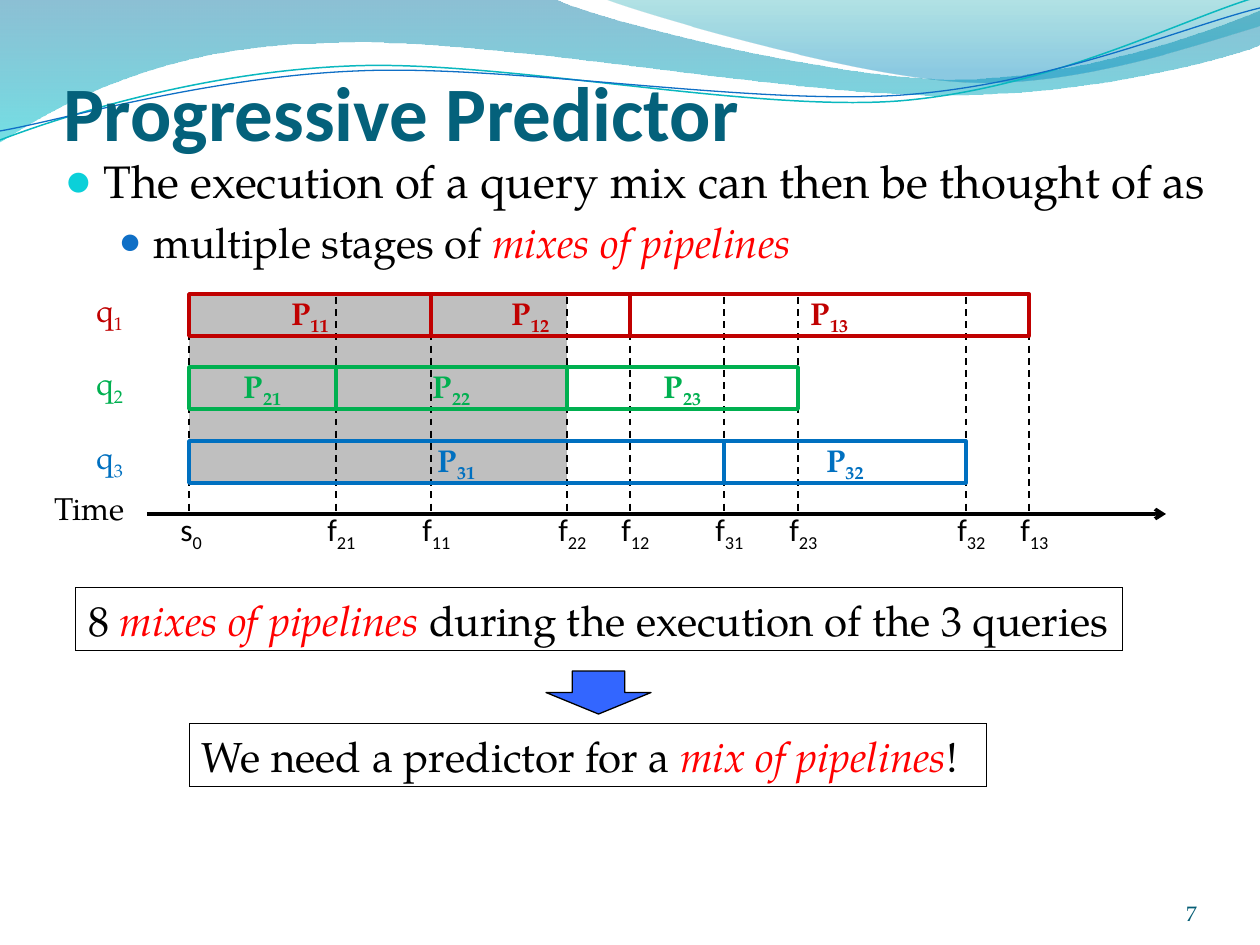
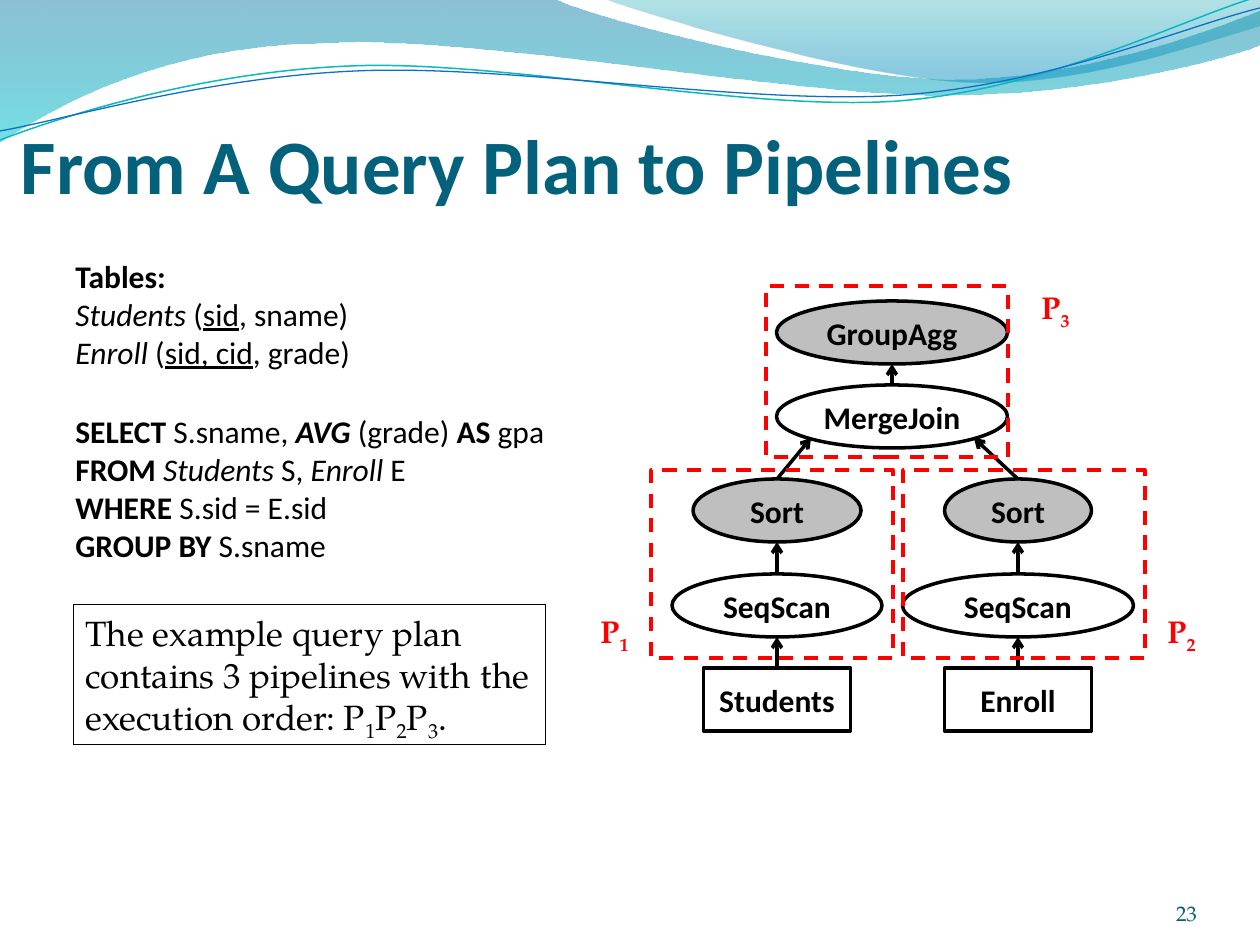
from lxml.etree import SubElement
from pptx import Presentation
from pptx.dml.color import RGBColor
from pptx.enum.dml import MSO_LINE
from pptx.enum.shapes import MSO_CONNECTOR, MSO_SHAPE
from pptx.enum.text import MSO_ANCHOR, MSO_AUTO_SIZE, PP_ALIGN
from pptx.oxml.ns import qn
from pptx.util import Pt

SCALE = 914400 / 126
SANS, SERIF = "Calibri", "TeX Gyre Pagella"
COLORS = {
    "black": "000000", "red": "FF0000", "gray": "BFBFBF", "title": "04617B",
    "number": "045D75", "arrow": "3366FF", "q1": "C00000", "q2": "00B050",
    "q3": "0070C0", "dot": "0BD0D9", "subdot": "0F6FC6", "teal": "0AB8BF",
    "deep": "0074A1", "cyan": "00C6CF", "sea": "00A1A9", "sky": "008BBF",
}
ALIGN = {"l": PP_ALIGN.LEFT, "c": PP_ALIGN.CENTER, "r": PP_ALIGN.RIGHT}
ANCHOR = {"t": MSO_ANCHOR.TOP, "m": MSO_ANCHOR.MIDDLE, "b": MSO_ANCHOR.BOTTOM}

# Each wave: start point, then line points (2 numbers) and curves (6 numbers)
BAND = [(0, 0), (554, -1), (600, 21, 837, 79, 955, 79),
        (1074, 79, 1207, 33, 1260, 11), (1261, 45),
        (1238, 55, 1096, 96, 940, 95), (781, 95, 481, 35, 324, 43),
        (163, 45, 58, 105, -1, 142)]
CREST = [(604, -1), (641, 14, 859, 78, 969, 82),
         (1079, 87, 1211, 40, 1260, 26), (1260, 0)]
UPPER = [(0, 140), (60, 117, 199, 72, 349, 66),
         (498, 59, 747, 112, 898, 101), (1049, 89, 1182, 19, 1257, -3)]
LOWER = [(0, 131), (59, 121, 207, 77, 357, 71),
         (508, 64, 751, 106, 903, 95), (1053, 84, 1186, 26, 1260, 8)]

TIMES = {"s0": 189, "f21": 336, "f11": 431, "f22": 567, "f12": 630,
         "f31": 724, "f23": 798, "f32": 966, "f13": 1029}


def px(value):
    return round(value * SCALE)


def rgb(name):
    return RGBColor.from_string(COLORS[name])


def text(frame, paras, size=18, font=SERIF, color="black", bold=False,
         align="l", anchor="t", inset=None):
    """Fill a frame; a run is a string or (string, flags).

    Flags: b bold, i italic, u underlined, r red, - subscript.
    """
    frame.word_wrap = True
    frame.auto_size = MSO_AUTO_SIZE.NONE
    frame.vertical_anchor = ANCHOR[anchor]
    if inset is not None:
        (frame.margin_left, frame.margin_top,
         frame.margin_right, frame.margin_bottom) = map(px, inset)
    for index, runs in enumerate(paras):
        para = frame.add_paragraph() if index else frame.paragraphs[0]
        para.alignment = ALIGN[align]
        for item in runs:
            words, flags = (item, "") if isinstance(item, str) else item
            run = para.add_run()
            run.text = words
            face = run.font
            face.name, face.size = font, Pt(size)
            face.bold = bold or "b" in flags
            face.italic = "i" in flags
            face.underline = "u" in flags
            face.color.rgb = rgb("red" if "r" in flags else color)
            if "-" in flags:
                run._r.get_or_add_rPr().set("baseline", "-25000")


def label(slide, box, paras, **form):
    shape = slide.shapes.add_textbox(*map(px, box))
    text(shape.text_frame, paras, **form)
    return shape


def note(slide, box, runs, size=24):
    """Add a text box with a hairline border."""
    label(slide, box, [runs], size=size).line.color.rgb = rgb("black")


def paint(shape, fill=None, line=None, width=2, dash=False):
    shape.shadow.inherit = False
    if fill:
        shape.fill.solid()
        shape.fill.fore_color.rgb = rgb(fill)
    else:
        shape.fill.background()
    if line:
        shape.line.color.rgb = rgb(line)
        shape.line.width = Pt(width)
        if dash:
            shape.line.dash_style = MSO_LINE.DASH
    else:
        shape.line.fill.background()


def block(slide, box, kind=MSO_SHAPE.RECTANGLE, **look):
    shape = slide.shapes.add_shape(kind, *map(px, box))
    paint(shape, **look)
    return shape


def center(shape, runs, **form):
    text(shape.text_frame, [runs], bold=True, align="c", anchor="m",
         inset=(0, 0, 0, 0), **form)


def link(slide, start, end, width=2, dash=False, head=True):
    line = slide.shapes.add_connector(
        MSO_CONNECTOR.STRAIGHT, *map(px, (*start, *end)))
    line.line.color.rgb = rgb("black")
    line.line.width = Pt(width)
    if dash:
        line.line.dash_style = MSO_LINE.DASH
    if head:
        SubElement(line.line._get_or_add_ln(), qn("a:tailEnd"), type="arrow")
    SubElement(line.element.spPr, qn("a:effectLst"))
    return line


def wave(slide, steps, close=False, **look):
    """Build an outline, turning each six-number step into a cubic curve."""
    first, *rest = [[(px(x), px(y)) for x, y in zip(step[::2], step[1::2])]
                    for step in steps]
    maker = slide.shapes.build_freeform(*first[0])
    maker.add_line_segments(sum(rest, []), close=close)
    shape = maker.convert_to_shape()
    route = next(shape.element.iter(qn("a:path")))
    lines = iter(route.findall(qn("a:lnTo")))
    for step in rest:
        lead, *others = [next(lines) for _ in step]
        if others:
            curve = route.makeelement(qn("a:cubicBezTo"))
            lead.addprevious(curve)
            for piece in (lead, *others):
                curve.append(piece[0])
                route.remove(piece)
    paint(shape, **look)
    return shape


def fade(shape, stops):
    """Fill from top to bottom with (position, colour, opacity) stops."""
    shape.fill.gradient()
    shape.fill.gradient_angle = 270
    for stop, (place, color, _) in zip(shape.fill.gradient_stops, stops):
        stop.position = place
        stop.color.rgb = rgb(color)
    tones = shape.element.spPr.iter(qn("a:srgbClr"))
    for tone, (_, _, alpha) in zip(list(tones), stops):
        SubElement(tone, qn("a:alpha"), val=str(alpha * 1000))


def backdrop(slide):
    """Draw the waves and move them to the layout that all slides share."""
    band, crest = wave(slide, BAND, True), wave(slide, CREST, True)
    fade(band, [(0, "deep", 45), (1, "cyan", 55)])
    fade(crest, [(0, "sea", 30), (0.8, "sky", 45)])
    waves = [band, crest, wave(slide, UPPER, line="teal", width=0.85),
             wave(slide, LOWER, line="subdot", width=0.75)]
    front = slide.slide_layout.shapes[0].element
    for index, shape in enumerate(waves):
        shape.element.nvSpPr.cNvPr.set("id", str(100 + index))
        front.addprevious(shape.element)


def page(deck, title, box, number):
    """Add a slide with its title and number."""
    slide = deck.slides.add_slide(deck.slide_layouts[5])
    head = slide.shapes.title
    head.left, head.top, head.width, head.height = map(px, box)
    text(head.text_frame, [[title]], size=44, font=SANS, color="title",
         bold=True, anchor="b", inset=(0, 6, 0, 0))
    label(slide, (1092, 876, 105, 50), [[number]], size=12, color="number",
          align="r", anchor="b", inset=(0, 0, 0, 0))
    return slide


def bullet(para, left, hang, color, size):
    para.space_before = Pt(5)
    props = para._p.get_or_add_pPr()
    props.set("marL", str(px(left)))
    props.set("indent", str(-px(hang)))
    tone = SubElement(props, qn("a:buClr"))
    SubElement(tone, qn("a:srgbClr"), val=COLORS[color])
    SubElement(props, qn("a:buSzPct"), val=str(size * 1000))
    SubElement(props, qn("a:buFont"), typeface=SANS)
    SubElement(props, qn("a:buChar"), char="●")


def chart(slide):
    """Draw the query bars over the time axis."""
    for x in TIMES.values():
        link(slide, (x, 297), (x, 514), width=1, dash=True, head=False)
    link(slide, (147, 514), (1166, 514))
    label(slide, (42, 483, 105, 50), [["Time"]])
    for query, stages in ((1, 3), (2, 3), (3, 2)):
        color = f"q{query}"
        top = 294 + 147 * (query - 1) // 2
        left = TIMES["s0"]
        for stage in range(1, stages + 1):
            right = TIMES[f"f{query}{stage}"]
            bar = block(slide, (left, top, right - left, 42), line=color)
            center(bar, ["P", (f"{query}{stage}", "-")], color=color)
            left = right
        label(slide, (84, top - 9, 60, 50), [["q", (str(query), "-")]],
              color=color)
    for name, x in TIMES.items():
        label(slide, (x - 21, 504, 63, 50), [[name[0], (name[1:], "-")]],
              font=SANS)


def predictor(deck):
    slide = page(deck, "Progressive Predictor", (63, 0, 1134, 157), "7")
    backdrop(slide)
    marks = list(TIMES.values())[:4]
    for left, right in zip(marks, marks[1:]):
        block(slide, (left, 294, right - left, 189), fill="gray")
    note(slide, (189, 724, 798, 63),
         ["We need a predictor for a ", ("mix of pipelines", "ir"), "!"])
    note(slide, (76, 588, 1047, 63),
         ["8 ", ("mixes of pipelines ", "ir"),
          "during the execution of the 3 queries"])
    block(slide, (546, 671, 105, 43), MSO_SHAPE.DOWN_ARROW,
          fill="arrow", line="black", width=0.75)
    body = label(slide, (53, 147, 1187, 195), [
        ["The execution of a query mix can then be thought of as"],
        ["multiple stages of ", ("mixes of pipelines", "ir")]], size=24)
    lead, sub = body.text_frame.paragraphs
    lead.runs[0].font.size = Pt(26)
    bullet(lead, 38, 38, "dot", 95)
    bullet(sub, 88, 34, "subdot", 85)
    chart(slide)


def node(slide, name, mid, top, wide, fill=None, kind=MSO_SHAPE.OVAL):
    shape = block(slide, (mid - wide / 2, top, wide, 63), kind,
                  fill=fill, line="black")
    center(shape, [name], font=SANS)
    return shape


def plan(slide):
    """Draw the operator tree and its three pipelines."""
    root = 892
    node(slide, "GroupAgg", root, 301, 231, "gray")
    merge = node(slide, "MergeJoin", root, 385, 231)
    links = [(merge, (root, 364))]
    for name, mid, sort, scan, joint in (
            ("Students", 777, 168, 210, 811), ("Enroll", 1018, 147, 231, 974)):
        links += [
            (node(slide, "Sort", mid, 479, sort, "gray"), (joint, 438)),
            (node(slide, "SeqScan", mid, 574, scan), (mid, 542)),
            (node(slide, name, mid, 668, 147, kind=MSO_SHAPE.RECTANGLE),
             (mid, 637))]
    for source, end in links:
        link(slide, end, end).begin_connect(source, 0)
    for number, box, spot in (
            ("1", (651, 470, 242, 188), (588, 606)),
            ("2", (903, 470, 242, 188), (1155, 606)),
            ("3", (766, 286, 242, 171), (1029, 282))):
        block(slide, box, line="red", dash=True)
        label(slide, (*spot, 63, 50), [["P", (number, "-")]],
              color="red", bold=True)


def pipelines(deck):
    slide = page(deck, "From A Query Plan to Pipelines",
                 (21, 53, 1239, 157), "23")
    note(slide, (73, 605, 473, 140),
         ["The example query plan contains 3 pipelines with the "
          "execution order: P", ("1", "-"), "P", ("2", "-"), "P",
          ("3", "-"), "."], size=20)
    label(slide, (63, 251, 336, 127), [
        [("Tables:", "b")],
        [("Students", "i"), " (", ("sid", "u"), ", sname)"],
        [("Enroll", "i"), " (", ("sid, cid", "u"), ", grade)"]], font=SANS)
    label(slide, (63, 406, 504, 165), [
        [("SELECT ", "b"), "S.sname, ", ("AVG ", "bi"), "(grade) ",
         ("AS ", "b"), "gpa"],
        [("FROM ", "b"), ("Students", "i"), " S, ", ("Enroll", "i"), " E"],
        [("WHERE ", "b"), "S.sid = E.sid"],
        [("GROUP BY ", "b"), "S.sname"]], font=SANS)
    plan(slide)


def main():
    deck = Presentation()
    deck.slide_width, deck.slide_height = px(1260), px(945)
    predictor(deck)
    pipelines(deck)
    deck.save("out.pptx")


if __name__ == "__main__":
    main()
